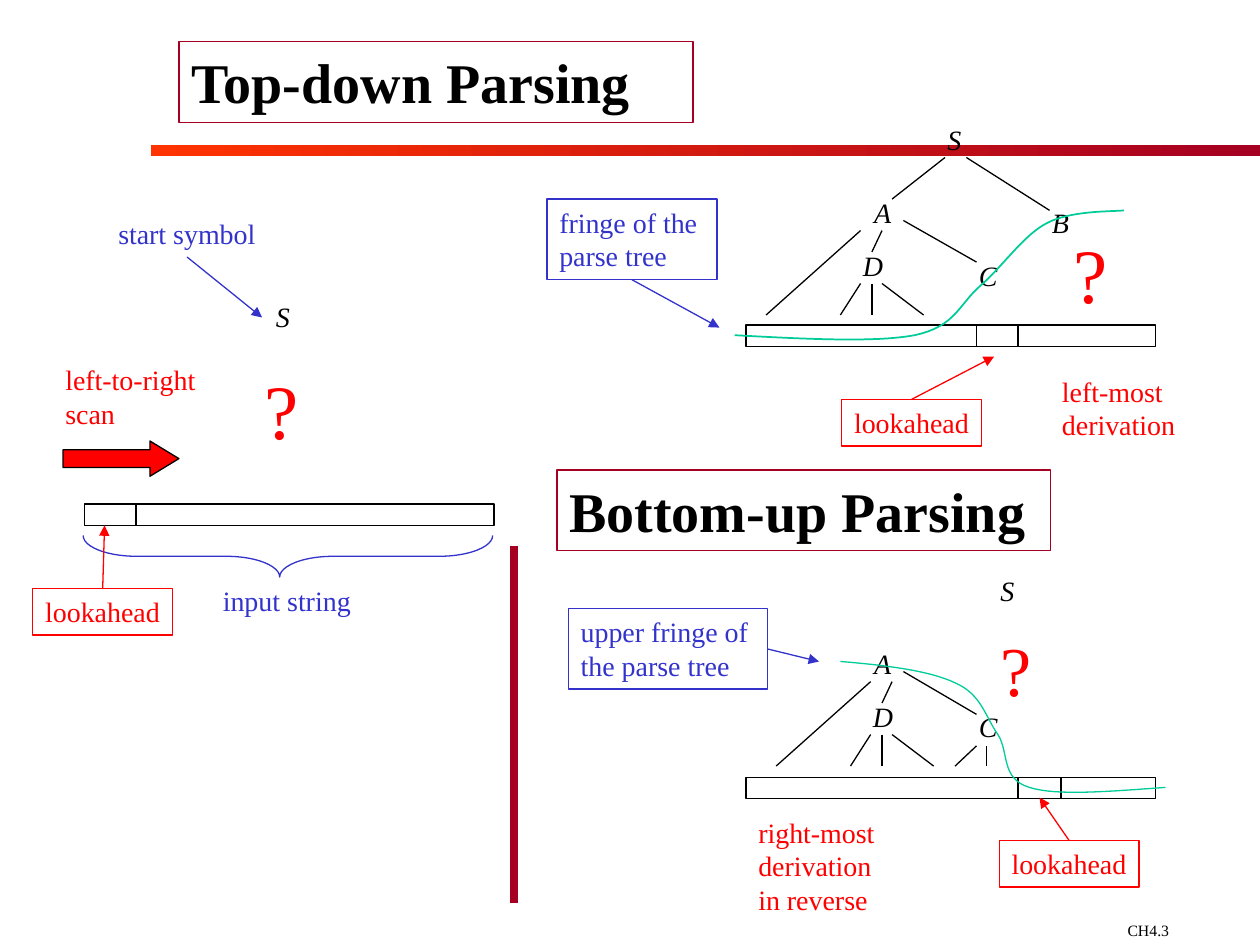
from lxml import etree
from pptx import Presentation
from pptx import util as u
from pptx.dml.color import RGBColor
from pptx.enum import shapes, text
from pptx.oxml import ns

BLACK = RGBColor(0x00, 0x00, 0x00)
RED = RGBColor(0xFF, 0x00, 0x00)
BLUE = RGBColor(0x33, 0x33, 0xCC)
GREEN = RGBColor(0x00, 0xCC, 0x99)
CRIMSON = RGBColor(0xA5, 0x00, 0x21)
ORANGE = RGBColor(0xFF, 0x33, 0x00)
FONT = "Times New Roman"

TITLE = ("Top-down Parsing", (1.42, 0.33, 4.08, 0.64))
SUBTITLE = ("Bottom-up Parsing", (4.42, 3.73, 3.92, 0.64))
PAGE_LABEL = ("CH4.3", (8.85, 7.26, 1.15, 0.24))

# Boxes with a pointer: lines, place, colour, bordered, side left, pointer end
POINTING_BOXES = [
    (["lookahead"], (0.26, 4.67, 1.11, 0.37), RED, True, 0, (0.83, 4.17)),
    (["lookahead"], (6.68, 3.17, 1.11, 0.37), RED, True, 0, (7.89, 2.83)),
    (["lookahead"], (7.93, 6.67, 1.11, 0.37), RED, True, 0, (8.25, 6.33)),
    (["start symbol"], (0.84, 1.67, 1.29, 0.37), BLUE, False, 2, (2.08, 2.52)),
    (["fringe of the", "parse tree"], (4.34, 1.58, 1.35, 0.64), BLUE, True, 2, (5.71, 2.6)),
    (["upper fringe of", "the parse tree"], (4.51, 4.83, 1.58, 0.64), BLUE, True, 3, (6.5, 5.25)),
]
# Plain notes: lines, place, colour
NOTES = [
    (["left-to-right", "scan"], (0.42, 2.83, 1.3, 0.64), RED),
    (["input string"], (1.67, 4.58, 1.22, 0.37), BLUE),
    (["left-most", "derivation"], (8.33, 2.92, 1.11, 0.64), RED),
    (["right-most", "derivation", "in reverse"], (5.92, 6.42, 1.5, 0.9), RED),
]
# Question marks: place, size
QUESTIONS = [((2, 2.83, 0.47, 0.84), 44), ((8.42, 1.75, 0.47, 0.84), 44),
             ((7.84, 4.92, 0.44, 0.77), 40)]

# Input bars: left, top, divider positions
BAR_WIDTH, BAR_HEIGHT = 3.25, 0.17
BARS = [(0.67, 4, [1.08]), (5.92, 2.58, [7.75, 8.08]), (5.92, 6.17, [8.08, 8.42])]

# Tree nodes and edges
NODE_WIDTHS = {"S": 0.31, "A": 0.33, "B": 0.33, "C": 0.35, "D": 0.36}
NODES = [("S", 2.09, 2.33), ("S", 7.42, 0.92), ("A", 6.84, 1.5), ("B", 8.25, 1.58),
         ("D", 6.75, 1.92), ("C", 7.67, 2), ("S", 7.84, 4.5), ("A", 6.84, 5.08),
         ("D", 6.83, 5.5), ("C", 7.67, 5.58)]
EDGES = [
    ((7.5, 1.25), (7.08, 1.58)), ((7.67, 1.25), (8.33, 1.67)),
    ((7.17, 1.75), (7.75, 2.08)), ((7.17, 5.33), (7.75, 5.67)),
    ((7.75, 5.92), (7.58, 6.08)), ((7.83, 5.92), (7.83, 6.08)),
]
# Edges below A and D, alike in both trees
SUBTREE_EDGES = [
    ((6.83, 1.83), (6.08, 2.5)), ((7, 1.83), (6.92, 2)), ((6.83, 2.25), (6.67, 2.5)),
    ((6.92, 2.25), (6.92, 2.5)), ((7, 2.25), (7.33, 2.5)),
]
SUBTREE_OFFSETS = [(0, 0), (0.08, 3.58)]

# Fringe curves: width in points, then a start and three points per Bézier piece
FRINGES = [
    (1, [(5.83, 2.66), (6.38, 2.69), (6.94, 2.72), (7.26, 2.66), (7.59, 2.59),
         (7.61, 2.41), (7.79, 2.26), (7.96, 2.11), (8.13, 1.86), (8.31, 1.77),
         (8.5, 1.67), (8.82, 1.68), (8.92, 1.67)]),
    (0.75, [(9.25, 6.25), (8.82, 6.28), (8.39, 6.32), (8.17, 6.25), (7.94, 6.18),
            (8.01, 5.97), (7.92, 5.83), (7.82, 5.69), (7.79, 5.51), (7.58, 5.42),
            (7.37, 5.32), (7.02, 5.28), (6.67, 5.25)]),
]
CURVE_STEPS = 16


def set_line(shape, color, width=0.75):
    shape.line.color.rgb = color
    shape.line.width = u.Pt(width)


def write(shape, lines, size, color, bold=False, italic=False, wrap=True):
    frame = shape.text_frame
    frame.word_wrap = wrap
    frame.auto_size = text.MSO_AUTO_SIZE.NONE
    frame.vertical_anchor = text.MSO_ANCHOR.TOP
    for index, line in enumerate(lines):
        paragraph = frame.add_paragraph() if index else frame.paragraphs[0]
        paragraph.alignment = text.PP_ALIGN.LEFT
        run = paragraph.add_run()
        run.text = line
        run.font.name, run.font.size = FONT, u.Pt(size)
        run.font.bold, run.font.italic = bold, italic
        run.font.color.rgb = color


def add_text(slide, place, lines, size, color, **style):
    box = slide.shapes.add_textbox(*map(u.Inches, place))
    write(box, lines, size, color, **style)
    return box


def add_shape(slide, kind, place):
    shape = slide.shapes.add_shape(kind, *map(u.Inches, place))
    shape.shadow.inherit = False
    shape.fill.background()
    return shape


def add_line(slide, start, end, color=BLACK, width=0.75, arrow=False):
    line = slide.shapes.add_connector(shapes.MSO_CONNECTOR.STRAIGHT,
                                      *map(u.Inches, (*start, *end)))
    set_line(line, color, width)
    if arrow:
        outline = line.line._get_or_add_ln()
        etree.SubElement(outline, ns.qn("a:tailEnd"), type="triangle")
    etree.SubElement(line._element.spPr, ns.qn("a:effectLst"))
    return line


def curve_points(points):
    """Yield points along the Bézier pieces, in whole EMU."""
    yield tuple(map(u.Inches, points[0]))
    for first in range(0, len(points) - 1, 3):
        piece = points[first:first + 4]
        for step in range(1, CURVE_STEPS + 1):
            t = step / CURVE_STEPS
            weights = ((1 - t) ** 3, 3 * t * (1 - t) ** 2, 3 * t ** 2 * (1 - t), t ** 3)
            yield tuple(u.Inches(sum(w * p[axis] for w, p in zip(weights, piece)))
                        for axis in (0, 1))


def main():
    presentation = Presentation()
    presentation.slide_width, presentation.slide_height = u.Inches(10), u.Inches(7.5)
    slide = presentation.slides.add_slide(presentation.slide_layouts[5])

    # Headings, rule and page label
    title = slide.shapes.title
    title.left, title.top, title.width, title.height = map(u.Inches, TITLE[1])
    write(title, [TITLE[0]], 32, BLACK, bold=True)
    subtitle = add_text(slide, SUBTITLE[1], [SUBTITLE[0]], 32, BLACK, bold=True)
    for heading in (title, subtitle):
        set_line(heading, CRIMSON)
    rule = add_shape(slide, shapes.MSO_SHAPE.RECTANGLE, (1.2, 1.15, 8.8, 0.09))
    rule.line.fill.background()
    rule.fill.gradient()
    rule.fill.gradient_angle = 0
    for stop, color in zip(rule.fill.gradient_stops, (ORANGE, CRIMSON)):
        stop.color.rgb = color
    add_text(slide, PAGE_LABEL[1], [PAGE_LABEL[0]], 9, BLACK)
    add_line(slide, (4.08, 4.33), (4.08, 7.17), CRIMSON, 4.5)

    # Input bars with their dividers
    for left, top, dividers in BARS:
        bar = add_shape(slide, shapes.MSO_SHAPE.RECTANGLE, (left, top, BAR_WIDTH, BAR_HEIGHT))
        set_line(bar, BLACK)
        for x in dividers:
            add_line(slide, (x, top), (x, top + BAR_HEIGHT))

    # Scan arrow and the brace under the input string
    arrow = add_shape(slide, shapes.MSO_SHAPE.RIGHT_ARROW, (0.5, 3.5, 0.92, 0.28))
    arrow.adjustments[0], arrow.adjustments[1] = 0.5, 0.82
    arrow.fill.solid()
    arrow.fill.fore_color.rgb = RED
    set_line(arrow, BLACK)
    brace = add_shape(slide, shapes.MSO_SHAPE.LEFT_BRACE, (2.12, 2.79, 0.33, 3.25))
    brace.rotation = 270
    brace.adjustments[0], brace.adjustments[1] = 1.29, 0.48
    set_line(brace, BLUE)

    # Parse trees
    for name, left, top in NODES:
        add_text(slide, (left, top, NODE_WIDTHS[name], 0.37), [name], 16, BLACK,
                 italic=True, wrap=False)
    for start, end in EDGES:
        add_line(slide, start, end)
    for dx, dy in SUBTREE_OFFSETS:
        for start, end in SUBTREE_EDGES:
            add_line(slide, (start[0] + dx, start[1] + dy), (end[0] + dx, end[1] + dy))

    # Fringe curves
    for width, points in FRINGES:
        start, *rest = curve_points(points)
        builder = slide.shapes.build_freeform(*start)
        builder.add_line_segments(rest, close=False)
        fringe = builder.convert_to_shape()
        fringe.shadow.inherit = False
        fringe.fill.background()
        set_line(fringe, GREEN, width)

    # Notes, question marks and boxes with pointers
    for lines, place, color in NOTES:
        add_text(slide, place, lines, 16, color)
    for place, size in QUESTIONS:
        add_text(slide, place, ["?"], size, RED, wrap=False)
    for lines, place, color, bordered, side, end in POINTING_BOXES:
        box = add_text(slide, place, lines, 16, color, wrap=False)
        if bordered:
            set_line(box, color)
        pointer = add_line(slide, place[:2], end, color, arrow=True)
        pointer.begin_connect(box, side)

    presentation.save("out.pptx")


if __name__ == "__main__":
    main()
